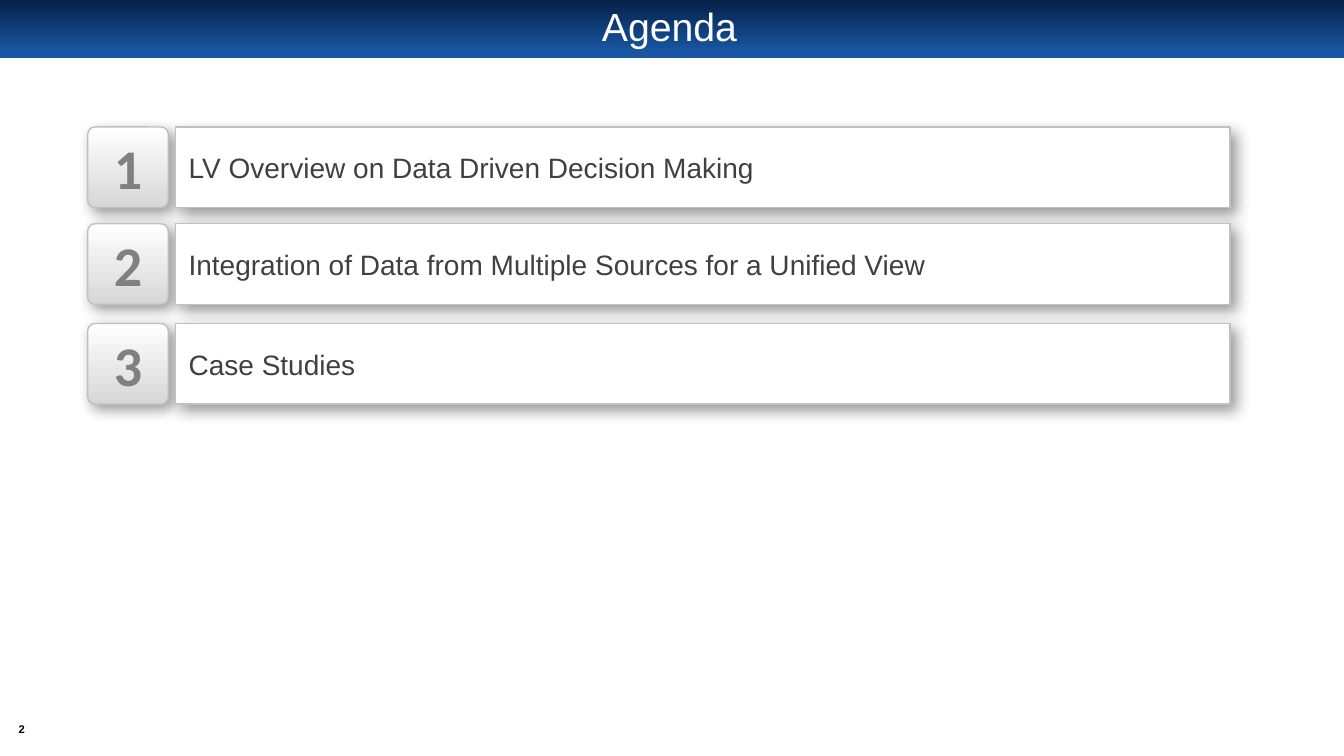
from lxml.etree import SubElement
from pptx import Presentation
from pptx.dml.color import RGBColor
from pptx.enum.shapes import MSO_SHAPE
from pptx.enum.text import MSO_ANCHOR, MSO_AUTO_SIZE, PP_ALIGN
from pptx.oxml.ns import qn
from pptx.util import Inches, Pt

COLORS = {
    "navy": "052049",
    "blue": "1957A3",
    "white": "FFFFFF",
    "silver": "D7D7D7",
    "border": "C0C0C0",
    "number": "808080",
    "text": "404040",
    "black": "000000",
}
AGENDA = [
    (1.26, "LV Overview on Data Driven Decision Making"),
    (2.22, "Integration of Data from Multiple Sources for a Unified View"),
    (3.21, "Case Studies"),
]


def color(name):
    return RGBColor.from_string(COLORS[name])


def fill_gradient(shape, start, end, angle, end_position=1.0):
    """Fill with two colours; the angle runs counter-clockwise."""
    shape.fill.gradient()
    shape.fill.gradient_angle = angle
    first, last = shape.fill.gradient_stops
    first.color.rgb, first.position = color(start), 0
    last.color.rgb, last.position = color(end), end_position


def add_panel(shapes, kind, left, top, width, height):
    """Add a grey-edged shape that casts a soft shadow down and right."""
    panel = shapes.add_shape(
        kind, Inches(left), Inches(top), Inches(width), Inches(height)
    )
    panel.line.color.rgb = color("border")
    panel.line.width = Pt(1)
    panel.shadow.inherit = False
    effects = panel._element.spPr.find(qn("a:effectLst"))
    shadow = SubElement(
        effects, qn("a:outerShdw"), blurRad=str(Pt(10)), dist=str(Pt(5)),
        dir=str(45 * 60000), algn="tl", rotWithShape="0",
    )
    shade = SubElement(shadow, qn("a:srgbClr"), val=COLORS["black"])
    SubElement(shade, qn("a:alpha"), val="40000")
    return panel


def write(shape, text, size, color_name, font="Arial", bold=False,
          align=PP_ALIGN.LEFT, wrap=True, margin=0):
    frame = shape.text_frame
    frame.text = text
    frame.word_wrap = wrap
    frame.auto_size = MSO_AUTO_SIZE.NONE
    frame.vertical_anchor = MSO_ANCHOR.MIDDLE
    frame.margin_left = frame.margin_right = Inches(margin)
    frame.margin_top = frame.margin_bottom = Inches(margin / 2)
    paragraph = frame.paragraphs[0]
    paragraph.alignment = align
    run_font = paragraph.runs[0].font
    run_font.name, run_font.size, run_font.bold = font, Pt(size), bold
    run_font.color.rgb = color(color_name)


def add_header(slide, left, top, width, height):
    band = slide.shapes.add_shape(
        MSO_SHAPE.RECTANGLE, Inches(left), Inches(top), Inches(width), Inches(height)
    )
    band.shadow.inherit = False
    band.line.fill.background()
    fill_gradient(band, "navy", "blue", 270, 0.9)

    title = slide.shapes.title
    title._element.addprevious(band._element)
    title.left, title.top = Inches(left + 0.66), Inches(top + 0.06)
    title.width, title.height = Inches(11.96), Inches(0.45)
    write(title, "Agenda", 28, "white", align=PP_ALIGN.CENTER, margin=0.1)
    title.text_frame.paragraphs[0].line_spacing = 0.9


def add_agenda_row(slide, number, text, left, top, width, height):
    shapes = slide.shapes.add_group_shape().shapes
    badge = add_panel(shapes, MSO_SHAPE.ROUNDED_RECTANGLE, left, top, height, height)
    badge.adjustments[0] = 0.09
    fill_gradient(badge, "silver", "white", 90)
    write(badge, str(number), 40, "number", "Calibri", True, PP_ALIGN.CENTER)

    bar_left = left + height + 0.07
    bar_width = width - height - 0.07
    bar = add_panel(shapes, MSO_SHAPE.RECTANGLE, bar_left, top, bar_width, height)
    bar.fill.solid()
    bar.fill.fore_color.rgb = color("white")

    label_height = 0.34
    label = shapes.add_textbox(
        Inches(bar_left + 0.13), Inches(top + (height - label_height) / 2),
        Inches(bar_width - 0.27), Inches(label_height),
    )
    write(label, text, 20, "text")


def add_page_number(slide, left, top, width, height):
    box = slide.shapes.add_textbox(
        Inches(left), Inches(top), Inches(width), Inches(height)
    )
    write(box, "2", 8, "black", bold=True, align=PP_ALIGN.CENTER, wrap=False)


def main():
    presentation = Presentation()
    presentation.slide_width = Inches(13.33)
    presentation.slide_height = Inches(7.5)
    slide = presentation.slides.add_slide(presentation.slide_layouts[5])
    add_header(slide, 0, 0, 13.33, 0.58)
    for number, (top, text) in enumerate(AGENDA, start=1):
        add_agenda_row(slide, number, text, 0.87, top, 11.33, 0.8)
    add_page_number(slide, 0.09, 7.14, 0.25, 0.19)
    presentation.save("out.pptx")


if __name__ == "__main__":
    main()
